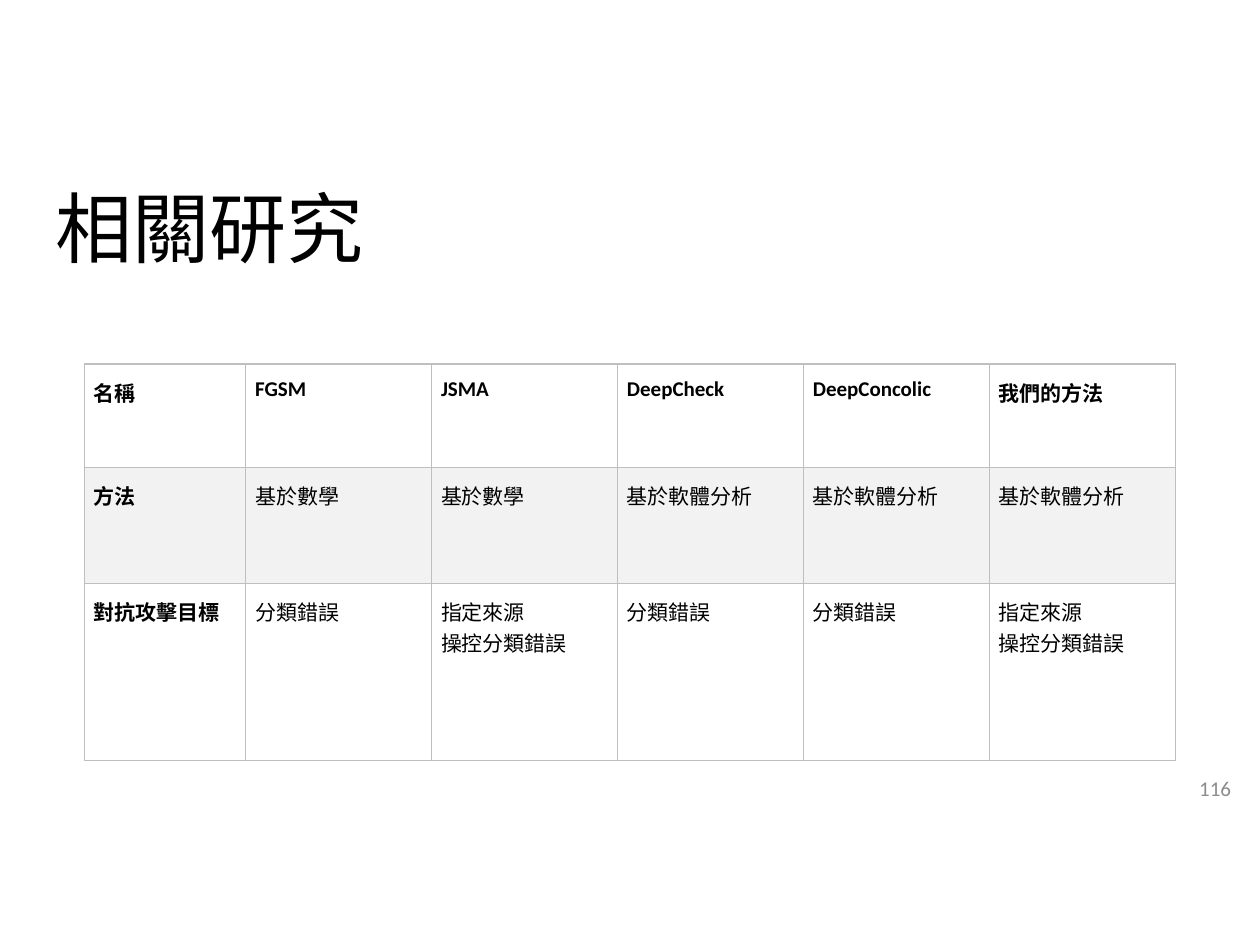
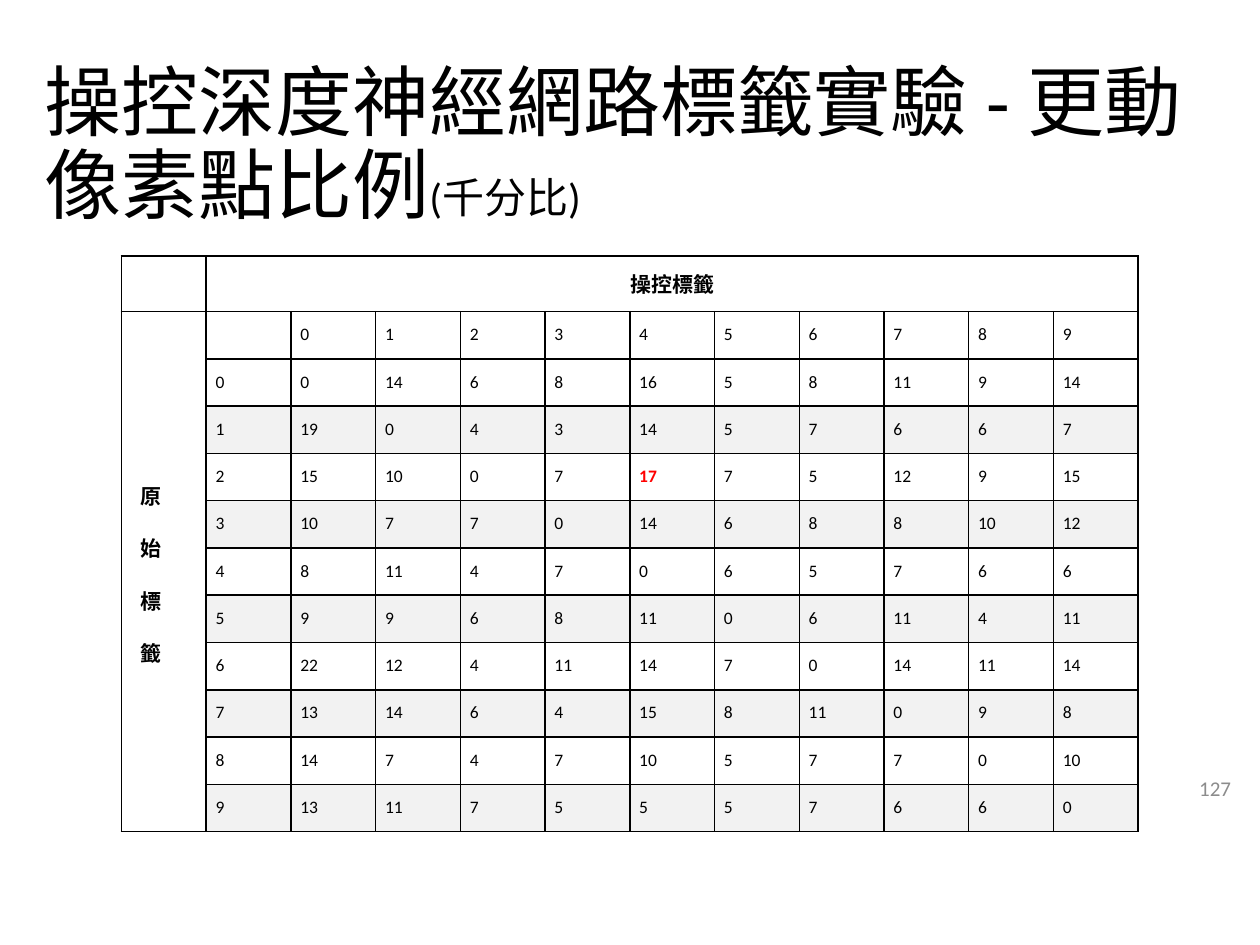
"""Build two slides: a comparison of related methods and a label-manipulation matrix."""
from lxml import etree
from pptx import Presentation
from pptx import util as u
from pptx.dml.color import RGBColor
from pptx.enum import text
from pptx.oxml import ns

Pt = u.Pt
FONT = "Calibri"
COLORS = {"ink": "000000", "paper": "FFFFFF", "stripe": "F2F2F2",
          "rule": "BFBFBF", "number": "8C8C8C", "peak": "FF0000"}

METHODS_TITLE = [("相關研究", 44)]
METHODS = [
    ["名稱", "FGSM", "JSMA", "DeepCheck", "DeepConcolic", "我們的方法"],
    ["方法", "基於數學", "基於數學", "基於軟體分析", "基於軟體分析", "基於軟體分析"],
    ["對抗攻擊目標", "分類錯誤", "指定來源\n操控分類錯誤", "分類錯誤", "分類錯誤",
     "指定來源\n操控分類錯誤"],
]

RATIO_TITLE = [("操控深度神經網路標籤實驗 - 更動像素點比例", 44), ("(千分比)", 24)]
TARGET_LABEL = "操控標籤"
SOURCE_LABEL = "原\n始\n標\n籤"
RATIOS = [
    [0, 14, 6, 8, 16, 5, 8, 11, 9, 14],
    [19, 0, 4, 3, 14, 5, 7, 6, 6, 7],
    [15, 10, 0, 7, 17, 7, 5, 12, 9, 15],
    [10, 7, 7, 0, 14, 6, 8, 8, 10, 12],
    [8, 11, 4, 7, 0, 6, 5, 7, 6, 6],
    [9, 9, 6, 8, 11, 0, 6, 11, 4, 11],
    [22, 12, 4, 11, 14, 7, 0, 14, 11, 14],
    [13, 14, 6, 4, 15, 8, 11, 0, 9, 8],
    [14, 7, 4, 7, 10, 5, 7, 7, 0, 10],
    [13, 11, 7, 5, 5, 5, 7, 6, 6, 0],
]
PEAK = (2, 4)


def rgb(name):
    return RGBColor.from_string(COLORS[name])


def add_run(p, content, size, color="ink", bold=False):
    r = p.add_run()
    r.text = content
    r.font.name, r.font.size, r.font.bold = FONT, Pt(size), bold
    r.font.color.rgb = rgb(color)


def set_frame(tf, anchor):
    tf.word_wrap = True
    tf.auto_size = text.MSO_AUTO_SIZE.NONE
    tf.vertical_anchor = anchor
    tf.margin_left = tf.margin_right = tf.margin_top = tf.margin_bottom = Pt(7.2)


def add_slide(prs, title, left, top, number):
    s = prs.slides.add_slide(prs.slide_layouts[5])
    sp = s.shapes.title
    sp.left, sp.top, sp.width, sp.height = Pt(left), Pt(top), Pt(671), Pt(45.4)
    set_frame(sp.text_frame, text.MSO_ANCHOR.TOP)
    p = sp.text_frame.paragraphs[0]
    p.alignment, p.line_spacing = text.PP_ALIGN.LEFT, 0.9
    for content, size in title:
        add_run(p, content, size)
    sp = s.shapes.add_textbox(Pt(667.4), Pt(434.9), Pt(43.2), Pt(31))
    set_frame(sp.text_frame, text.MSO_ANCHOR.MIDDLE)
    p = sp.text_frame.paragraphs[0]
    p.alignment = text.PP_ALIGN.RIGHT
    add_run(p, str(number), 12, "number")
    return s


def add_grid(s, left, top, widths, heights, rule):
    sp = s.shapes.add_table(len(heights), len(widths), Pt(left), Pt(top),
                            Pt(sum(widths)), Pt(sum(heights)))
    table = sp.table
    table.first_row = table.horz_banding = False
    for col, width in zip(table.columns, widths):
        col.width = Pt(width)
    for row, height in zip(table.rows, heights):
        row.height = Pt(height)
    for cell in table.iter_cells():
        tc_pr = cell._tc.get_or_add_tcPr()
        for side in ("lnL", "lnR", "lnT", "lnB"):
            line = etree.SubElement(tc_pr, ns.qn(f"a:{side}"), w=str(Pt(1)))
            fill = etree.SubElement(line, ns.qn("a:solidFill"))
            etree.SubElement(fill, ns.qn("a:srgbClr"), val=COLORS[rule])
        cell.margin_top = cell.margin_bottom = 0
        set_fill(cell, "paper")
    return table


def set_fill(cell, color):
    cell.fill.solid()
    cell.fill.fore_color.rgb = rgb(color)


def write_cell(cell, content, size, color="ink", bold=False):
    cell.margin_left = cell.margin_right = Pt(5.4)
    cell.margin_top = cell.margin_bottom = Pt(7.2)
    tf = cell.text_frame
    for i, line in enumerate(content.split("\n")):
        p = tf.add_paragraph() if i else tf.paragraphs[0]
        add_run(p, line, size, color, bold)


def build_methods(prs):
    s = add_slide(prs, METHODS_TITLE, 24.5, 102.2, 116)
    table = add_grid(s, 48.2, 208.1, [92.2] + [106.27] * 5, [59, 66.5, 101], "rule")
    for y, row in enumerate(METHODS):
        for x, content in enumerate(row):
            cell = table.cell(y, x)
            write_cell(cell, content, 12, bold=y == 0 or x == 0)
            if y % 2:
                set_fill(cell, "stripe")


def build_ratios(prs):
    s = add_slide(prs, RATIO_TITLE, 18, 29.5, 127)
    n = len(RATIOS)
    table = add_grid(s, 69.4, 146.2, [48.42] * (n + 2), [28.8] + [27.04] * (n + 1), "ink")

    target = table.cell(0, 1)
    target.merge(table.cell(0, n + 1))
    write_cell(target, TARGET_LABEL, 12, bold=True)
    target.vertical_anchor = text.MSO_ANCHOR.BOTTOM
    target.text_frame.paragraphs[0].alignment = text.PP_ALIGN.CENTER

    source = table.cell(1, 0)
    source.merge(table.cell(n + 1, 0))
    write_cell(source, SOURCE_LABEL, 12, bold=True)
    source.vertical_anchor = text.MSO_ANCHOR.MIDDLE
    paragraphs = source.text_frame.paragraphs
    for i, p in enumerate(paragraphs):
        p._p.get_or_add_pPr().set("marL", str(Pt(5.76)))
        p.line_spacing = 1.15
        if i:
            p.space_before = Pt(10)
    paragraphs[-1].space_after = Pt(10)

    for y, row in enumerate(RATIOS):
        write_cell(table.cell(1, y + 2), str(y), 10)
        for x, value in enumerate([y] + row):
            cell = table.cell(y + 2, x + 1)
            peak = (y, x - 1) == PEAK
            write_cell(cell, str(value), 10, "peak" if peak else "ink", peak)
            if y % 2:
                set_fill(cell, "stripe")


def main():
    prs = Presentation()
    prs.slide_width, prs.slide_height = Pt(720), Pt(540)
    build_methods(prs)
    build_ratios(prs)
    prs.save("out.pptx")


if __name__ == "__main__":
    main()
